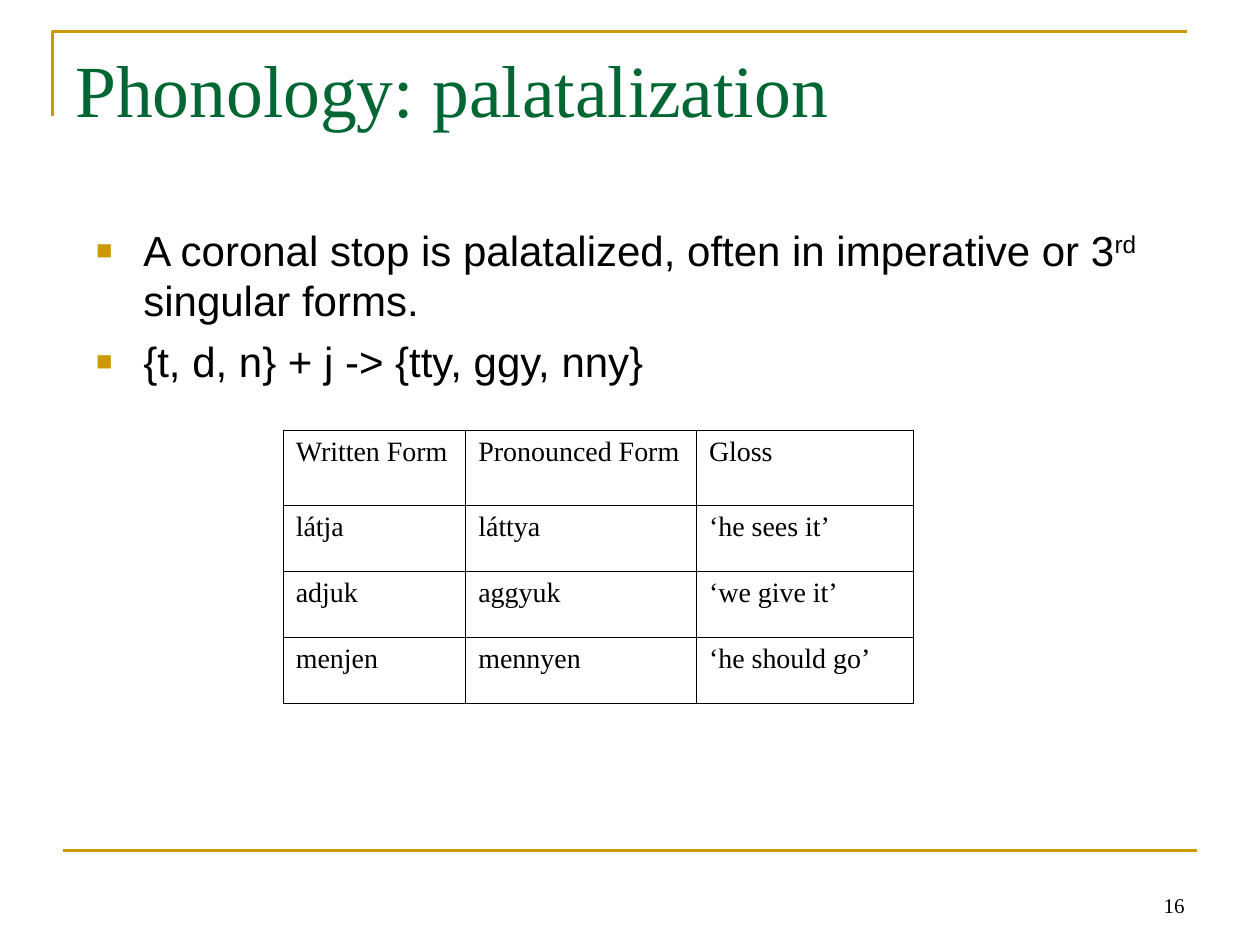
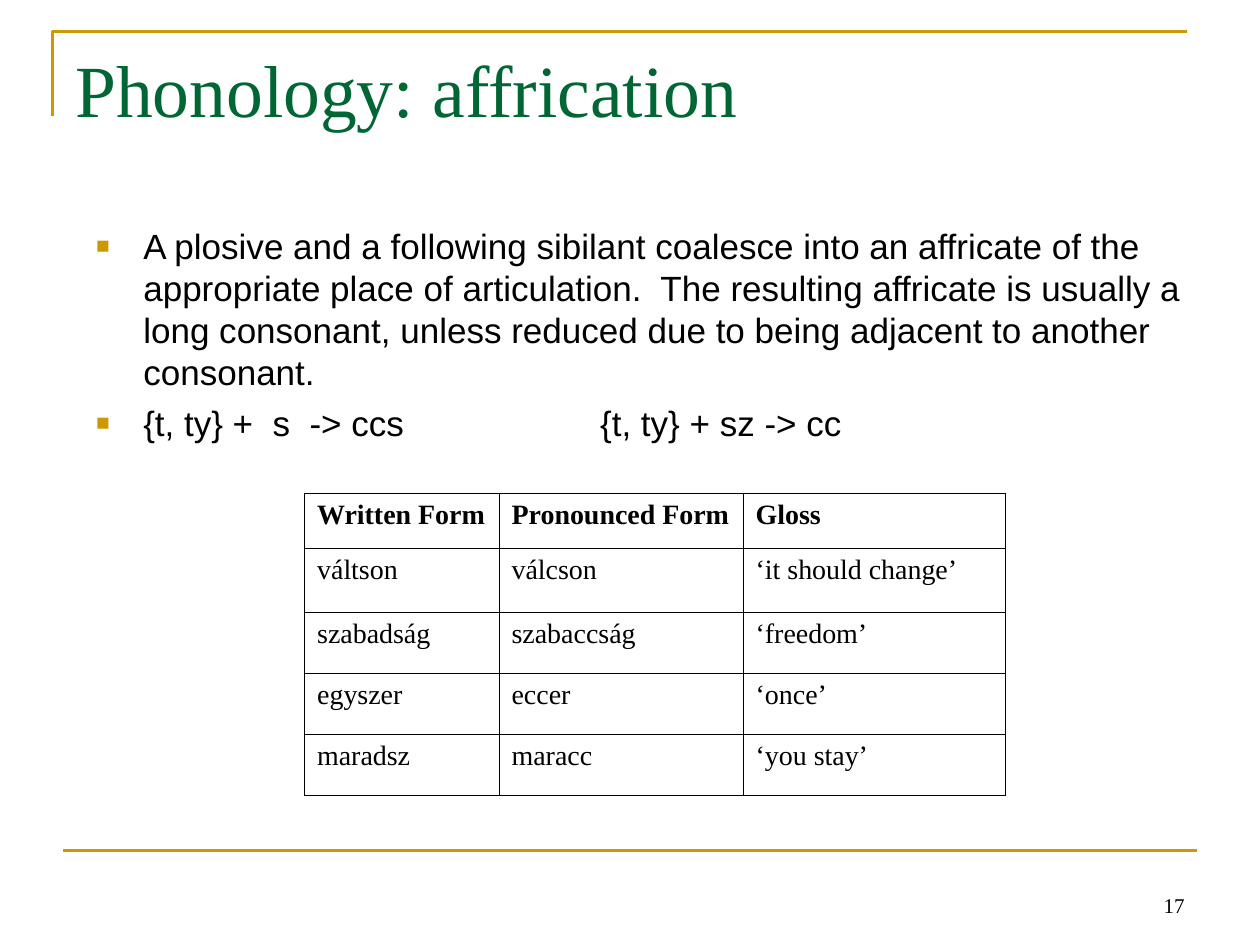
from dataclasses import dataclass

from lxml.etree import SubElement
from pptx import Presentation
from pptx.dml.color import RGBColor
from pptx.enum.shapes import MSO_CONNECTOR as Connector
from pptx.enum.text import MSO_ANCHOR as Anchor, PP_ALIGN as Align
from pptx.oxml.ns import qn
from pptx.slide import Slide
from pptx.text.text import TextFrame, _Paragraph as Paragraph
from pptx.util import Cm, Pt


@dataclass(frozen=True)
class Theme:
    gold: str = "CC9900"
    green: str = "006633"
    black: str = "000000"
    serif: str = "Times New Roman"
    sans: str = "Arial"
    title_size: float = 42
    table_size: float = 16
    number_size: float = 12
    rule_width: float = 1.5
    border_width: float = 0.45


@dataclass(frozen=True)
class Box:
    left: float
    top: float
    width: float
    height: float

    def lengths(self) -> tuple[Cm, Cm, Cm, Cm]:
        return Cm(self.left), Cm(self.top), Cm(self.width), Cm(self.height)


@dataclass(frozen=True)
class Span:
    text: str
    superscript: bool = False


@dataclass(frozen=True)
class WordTable:
    left: float
    top: float
    columns: list[float]
    row_heights: list[float]
    rows: list[list[str]]
    bold_header: bool = False


@dataclass(frozen=True)
class Topic:
    number: int
    title: str
    body_size: float
    bullet_gap: float
    bullets: list[list[Span]]
    table: WordTable


THEME = Theme()
TITLE_BOX = Box(1.27, 0.76, 22.86, 3.18)
BODY_BOX = Box(1.69, 4.4, 22.86, 11.5)
NUMBER_BOX = Box(18.2, 17.36, 5.93, 1.27)
HANGING = Cm(0.95)
TAB_STEP = Cm(2.54)
LINE_PITCH = 1.2

TOPICS = [
    Topic(
        16, "Phonology: palatalization", 24, 6,
        [
            [Span("A coronal stop is palatalized, often in imperative or 3"),
             Span("rd", superscript=True), Span(" singular forms.")],
            [Span("{t, d, n} + j -> {tty, ggy, nny}")],
        ],
        WordTable(
            5.71, 8.68, [3.68, 4.65, 4.37], [1.5] + [1.33] * 3,
            [
                ["Written Form", "Pronounced Form", "Gloss"],
                ["látja", "láttya", "‘he sees it’"],
                ["adjuk", "aggyuk", "‘we give it’"],
                ["menjen", "mennyen", "‘he should go’"],
            ],
        ),
    ),
    Topic(
        17, "Phonology: affrication", 20, 5,
        [
            [Span("A plosive and a following sibilant coalesce into an affricate "
                  "of the appropriate place of articulation.  The resulting "
                  "affricate is usually a long consonant, unless reduced due to "
                  "being adjacent to another consonant.")],
            [Span("{t, ty} +  s  -> ccs\t\t{t, ty} + sz -> cc")],
        ],
        WordTable(
            6.14, 9.95, [3.92, 4.92, 5.28], [1.1, 1.3] + [1.23] * 3,
            [
                ["Written Form", "Pronounced Form", "Gloss"],
                ["váltson", "válcson", "‘it should change’"],
                ["szabadság", "szabaccság", "‘freedom’"],
                ["egyszer", "eccer", "‘once’"],
                ["maradsz", "maracc", "‘you stay’"],
            ],
            bold_header=True,
        ),
    ),
]


# Text helpers
def add_span(para: Paragraph, span: Span, font: str, size: float,
             color: str = THEME.black, bold: bool = False) -> None:
    run = para.add_run()
    run.text = span.text
    run.font.name = font
    run.font.size = Pt(size)
    run.font.bold = bold
    run.font.color.rgb = RGBColor.from_string(color)
    if span.superscript:
        run._r.get_or_add_rPr().set("baseline", "30000")


def add_text_frame(page: Slide, box: Box) -> TextFrame:
    frame = page.shapes.add_textbox(*box.lengths()).text_frame
    frame.word_wrap = True
    return frame


def add_bullet(para: Paragraph) -> None:
    props = para._p.get_or_add_pPr()
    props.set("marL", str(HANGING))
    props.set("indent", str(-HANGING))
    color = SubElement(props, qn("a:buClr"))
    SubElement(color, qn("a:srgbClr"), val=THEME.gold)
    SubElement(props, qn("a:buSzPct"), val="65000")
    SubElement(props, qn("a:buFont"), typeface=THEME.sans)
    SubElement(props, qn("a:buChar"), char="■")
    tabs = SubElement(props, qn("a:tabLst"))
    for step in range(1, 9):
        SubElement(tabs, qn("a:tab"), pos=str(step * TAB_STEP), algn="l")


# Shared slide parts
def draw_frame(page: Slide) -> None:
    left, top = Cm(1.06), Cm(0.64)
    builder = page.shapes.build_freeform(left, Cm(2.33))
    builder.add_line_segments([(left, top), (Cm(23.92), top)], close=False)
    corner = builder.convert_to_shape()
    corner.shadow.inherit = False
    corner.fill.background()

    base = Cm(17.15)
    rule = page.shapes.add_connector(
        Connector.STRAIGHT, Cm(1.27), base, Cm(24.13), base)
    SubElement(rule._element.spPr, qn("a:effectLst"))
    for shape in (corner, rule):
        shape.line.color.rgb = RGBColor.from_string(THEME.gold)
        shape.line.width = Pt(THEME.rule_width)


def draw_title(page: Slide, title: str) -> None:
    para = add_text_frame(page, TITLE_BOX).paragraphs[0]
    add_span(para, Span(title), THEME.serif, THEME.title_size, THEME.green)


def draw_number(page: Slide, number: int) -> None:
    frame = add_text_frame(page, NUMBER_BOX)
    frame.vertical_anchor = Anchor.BOTTOM
    para = frame.paragraphs[0]
    para.alignment = Align.RIGHT
    add_span(para, Span(str(number)), THEME.serif, THEME.number_size)


# Topic content
def draw_bullets(page: Slide, topic: Topic) -> None:
    frame = add_text_frame(page, BODY_BOX)
    for index, spans in enumerate(topic.bullets):
        para = frame.add_paragraph() if index else frame.paragraphs[0]
        para.line_spacing = Pt(topic.body_size * LINE_PITCH)
        if index:
            para.space_before = Pt(topic.bullet_gap)
        add_bullet(para)
        for span in spans:
            add_span(para, span, THEME.sans, topic.body_size)


def add_borders(cell) -> None:
    props = cell._tc.get_or_add_tcPr()
    for position, side in enumerate(("lnL", "lnR", "lnT", "lnB")):
        line = SubElement(props, qn(f"a:{side}"), w=str(Pt(THEME.border_width)))
        fill = SubElement(line, qn("a:solidFill"))
        SubElement(fill, qn("a:srgbClr"), val=THEME.black)
        props.insert(position, line)


def draw_table(page: Slide, words: WordTable) -> None:
    box = Box(words.left, words.top, sum(words.columns), sum(words.row_heights))
    table = page.shapes.add_table(
        len(words.rows), len(words.columns), *box.lengths()).table
    table.first_row = table.horz_banding = False
    for column, width in zip(table.columns, words.columns):
        column.width = Cm(width)
    for row, height in zip(table.rows, words.row_heights):
        row.height = Cm(height)
    for row_index, texts in enumerate(words.rows):
        bold = words.bold_header and row_index == 0
        for column_index, text in enumerate(texts):
            cell = table.cell(row_index, column_index)
            cell.fill.background()
            add_borders(cell)
            add_span(cell.text_frame.paragraphs[0], Span(text),
                     THEME.serif, THEME.table_size, bold=bold)


def main() -> None:
    deck = Presentation()
    deck.slide_width, deck.slide_height = Cm(25.4), Cm(19.05)
    blank = deck.slide_layouts[6]
    for topic in TOPICS:
        page = deck.slides.add_slide(blank)
        draw_frame(page)
        draw_title(page, topic.title)
        draw_bullets(page, topic)
        draw_table(page, topic.table)
        draw_number(page, topic.number)
    deck.save("out.pptx")


if __name__ == "__main__":
    main()
